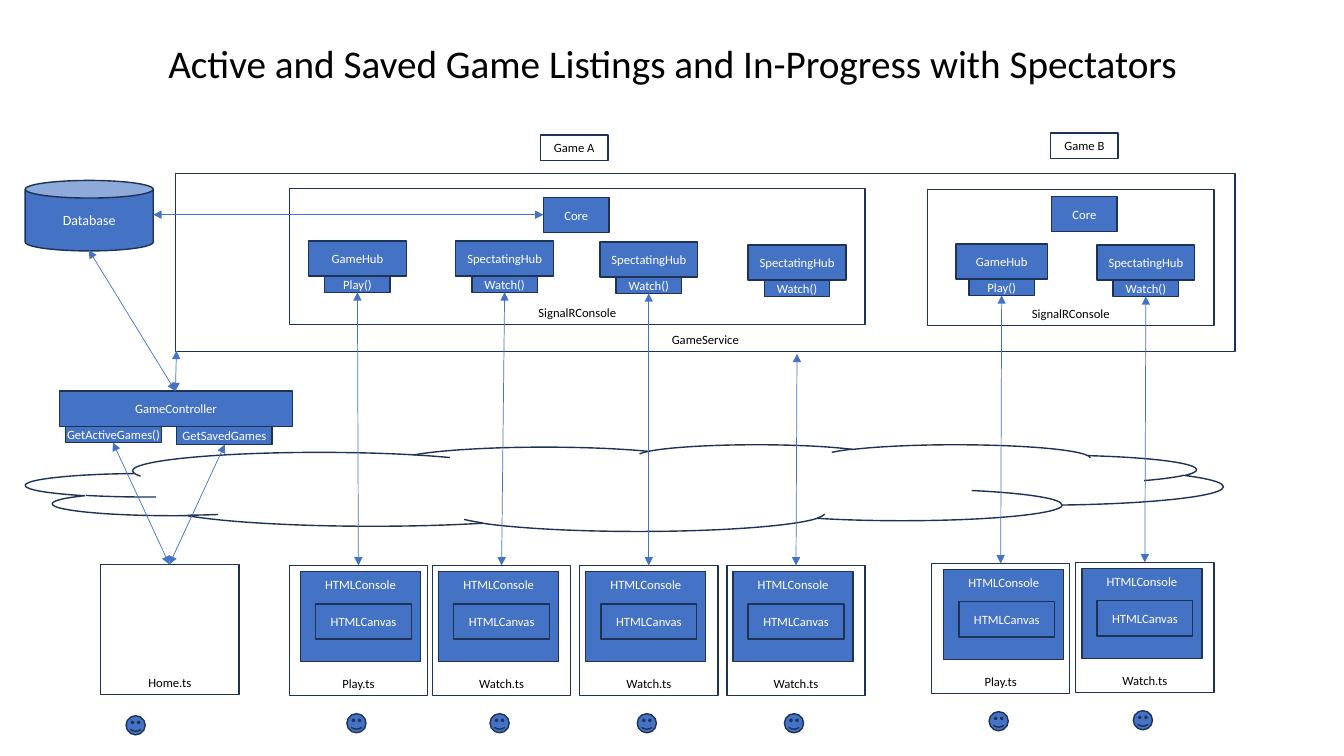
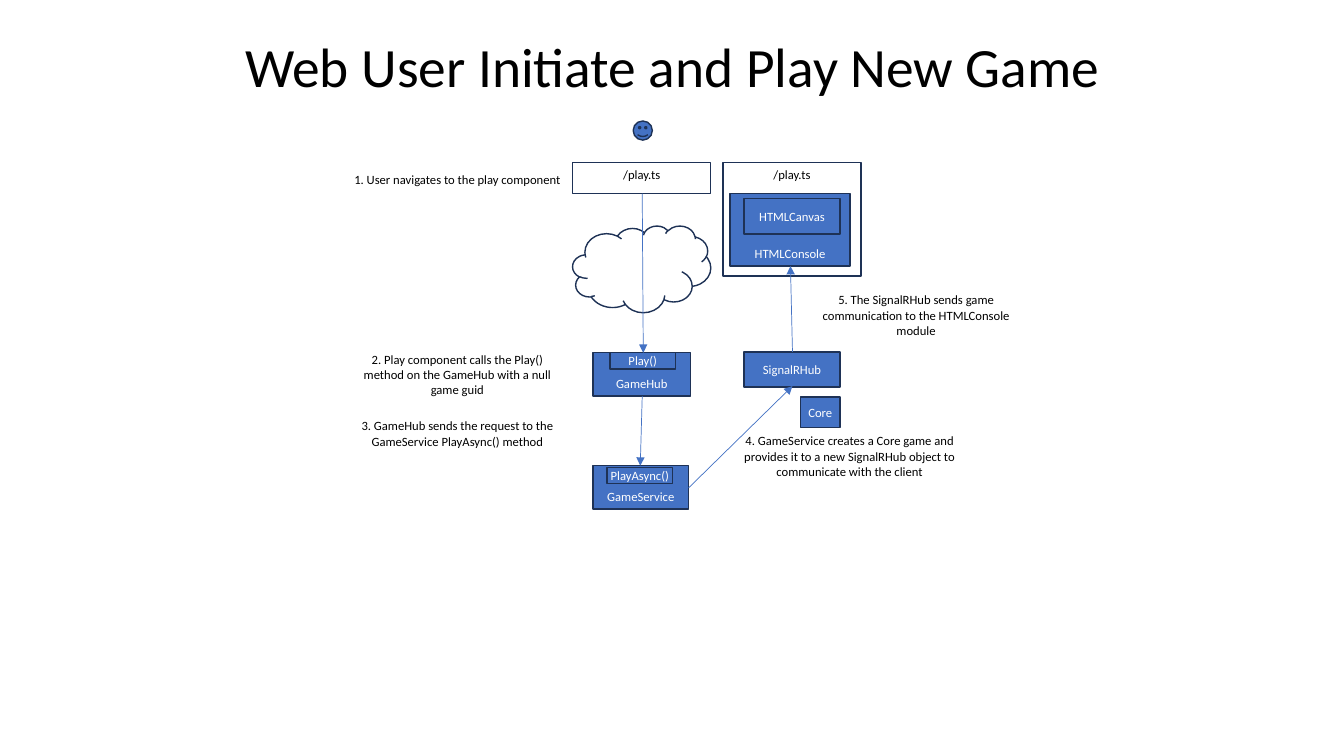
from lxml import etree
from pptx import Presentation
from pptx.dml.color import RGBColor
from pptx.enum.shapes import MSO_CONNECTOR, MSO_SHAPE
from pptx.enum.text import MSO_ANCHOR, MSO_AUTO_SIZE, PP_ALIGN
from pptx.oxml.ns import qn
from pptx.util import Inches, Pt

RECT, CLOUD, CAN = MSO_SHAPE.RECTANGLE, MSO_SHAPE.CLOUD, MSO_SHAPE.CAN
SMILEY = MSO_SHAPE.SMILEY_FACE
STRAIGHT = MSO_CONNECTOR.STRAIGHT
TOP, MIDDLE, BOTTOM = MSO_ANCHOR.TOP, MSO_ANCHOR.MIDDLE, MSO_ANCHOR.BOTTOM
CENTER, NO_FIT = PP_ALIGN.CENTER, MSO_AUTO_SIZE.NONE

FONT = "Calibri"
BLUE, NAVY, WHITE, BLACK = "4472C4", "1E3256", "FFFFFF", "000000"
MARGINS = ("margin_left", "margin_top", "margin_right", "margin_bottom")

FRAME = {"anchor": BOTTOM}
HEADED = {"anchor": TOP}
BLOCK = {"fill": BLUE, "color": WHITE}
BLOCK_TOP = {**BLOCK, "anchor": TOP}
BLOCK_BOTTOM = {**BLOCK, "anchor": BOTTOM}
TAB = {**BLOCK, "margin": 0}
NOTE = {"line": None, "anchor": TOP}

FACE = 0.19
TAB_WIDTH, TAB_HEIGHT = 0.65, 0.16
BLOCK_HEIGHT = 0.35
CANVAS_WIDTH = 0.95
CLIENT_WIDTH, CLIENT_HEIGHT = 1.37, 1.29
CONSOLE_WIDTH = 1.19

LISTINGS_TITLE = "Active and Saved Game Listings and In-Progress with Spectators"
LISTINGS_PARTS = [
    (CLOUD, "", (0.26, 4.41, 11.87, 0.86), FRAME),
    (RECT, "GameService", (1.74, 1.72, 10.51, 1.77), FRAME),
    (RECT, "SignalRConsole", (2.87, 1.87, 5.71, 1.35), FRAME),
    (RECT, "SignalRConsole", (9.2, 1.88, 2.84, 1.35), FRAME),
    (RECT, "Game A", (5.36, 1.34, 0.67, 0.25), FRAME),
    (RECT, "Game B", (10.42, 1.32, 0.67, 0.25), FRAME),
    (RECT, "Core", (5.39, 1.96, 0.65, 0.35), BLOCK),
    (RECT, "Core", (10.43, 1.95, 0.65, 0.35), BLOCK),
    (RECT, "GameController", (0.59, 3.88, 2.31, 0.35), BLOCK),
    (RECT, "GetActiveGames()", (0.65, 4.23, 0.95, 0.16), TAB),
    (RECT, "GetSavedGames", (1.75, 4.23, 0.95, 0.18), TAB),
    (RECT, "Home.ts", (1, 5.6, 1.37, 1.29), FRAME),
    (SMILEY, "", (1.25, 7.1, FACE, FACE), BLOCK),
    (CAN, "Database", (0.25, 1.79, 1.27, 0.7), {**BLOCK, "size": 10}),
]
LISTINGS_ARROWS = [
    ((1.75, 3.48), (1.74, 3.88)),
    ((5.39, 2.13), (1.52, 2.13)),
    ((2.23, 4.41), (1.68, 5.6)),
    ((1.12, 4.39), (1.68, 5.6)),
    ((0.88, 2.48), (1.74, 3.88)),
]
LANES = [
    {"hub": "GameHub", "method": "Play", "hub_at": (3.06, 2.39, 0.97),
     "client_at": (2.87, 5.61), "console_inset": 0.11},
    {"hub": "SpectatingHub", "method": "Watch", "hub_at": (4.52, 2.39, 0.97),
     "client_at": (4.29, 5.61), "console_inset": 0.06},
    {"hub": "SpectatingHub", "method": "Watch", "hub_at": (5.95, 2.4, 0.97),
     "client_at": (5.75, 5.61), "console_inset": 0.06},
    {"hub": "SpectatingHub", "method": "Watch", "hub_at": (7.42, 2.43, 0.97),
     "client_at": (7.21, 5.61), "console_inset": 0.06, "arrow_top": 3.51},
    {"hub": "GameHub", "method": "Play", "hub_at": (9.48, 2.42, 0.91),
     "client_at": (9.24, 5.59), "console_inset": 0.12},
    {"hub": "SpectatingHub", "method": "Watch", "hub_at": (10.88, 2.43, 0.97),
     "client_at": (10.67, 5.58), "console_inset": 0.06},
]

NEW_GAME_TITLE = "Web User Initiate and Play New Game"
NEW_GAME_PARTS = [
    (SMILEY, "", (6.28, 1.2, FACE, FACE), BLOCK),
    (RECT, "/play.ts", (7.17, 1.61, 1.37, 1.13), HEADED),
    (RECT, "HTMLConsole", (7.24, 1.92, CONSOLE_WIDTH, 0.72), BLOCK_BOTTOM),
    (RECT, "HTMLCanvas", (7.38, 1.97, CANVAS_WIDTH, BLOCK_HEIGHT), BLOCK),
    (CLOUD, "", (5.68, 2.24, 1.37, 0.86), FRAME),
    (RECT, "SignalRHub", (7.38, 3.49, 0.95, BLOCK_HEIGHT), BLOCK),
    (RECT, "/play.ts", (5.68, 1.61, 1.37, 0.31), HEADED),
    (RECT, "GameHub", (5.88, 3.5, 0.97, 0.43), BLOCK_BOTTOM),
    (RECT, "Play()", (6.05, 3.5, TAB_WIDTH, TAB_HEIGHT), TAB),
    (RECT, "GameService", (5.88, 4.62, 0.95, 0.43), BLOCK_BOTTOM),
    (RECT, "PlayAsync()", (6.02, 4.64, TAB_WIDTH, TAB_HEIGHT), TAB),
    (RECT, "Core", (7.94, 3.94, 0.39, 0.3), TAB),
]
NEW_GAME_ARROWS = [
    ((6.37, 1.92), (6.38, 3.5)),
    ((6.37, 3.93), (6.35, 4.62)),
    ((6.83, 4.84), (7.86, 3.83)),
    ((7.86, 3.49), (7.84, 2.64)),
]
STEP_WIDTH = 2.29
STEPS = [
    ("1. User navigates to the play component", 3.39, 1.66, 0.31),
    ("2. Play component calls the Play() method on the GameHub with a null game guid",
     3.39, 3.44, 0.54),
    ("3. GameHub sends the request to the GameService PlayAsync() method",
     3.39, 4.1, 0.48),
    ("4. GameService creates a Core game and provides it to a new SignalRHub object "
     "to communicate with the client", 7.28, 4.25, 0.48),
    ("5. The SignalRHub sends game communication to the HTMLConsole module",
     7.94, 2.85, 0.48),
]


def rgb(value):
    return RGBColor.from_string(value)


def place(shape, box):
    for side, length in zip(("left", "top", "width", "height"), box):
        setattr(shape, side, Inches(length))


def write(shape, text, size=9, color=BLACK, anchor=MIDDLE, margin=None):
    frame = shape.text_frame
    settings = {"word_wrap": True, "auto_size": NO_FIT, "vertical_anchor": anchor}
    if margin is not None:
        settings.update(dict.fromkeys(MARGINS, Inches(margin)))
    for key, value in settings.items():
        setattr(frame, key, value)
    paragraph = frame.paragraphs[0]
    paragraph.alignment = CENTER
    run = paragraph.add_run()
    run.text = text
    for key, value in {"name": FONT, "size": Pt(size)}.items():
        setattr(run.font, key, value)
    run.font.color.rgb = rgb(color)
    return paragraph


def add_part(slide, kind, text, box, style):
    shape = slide.shapes.add_shape(kind, *map(Inches, box))
    shape.shadow.inherit = False
    text_style = dict(style)
    fill = text_style.pop("fill", None)
    line = text_style.pop("line", NAVY)
    if fill:
        shape.fill.solid()
        shape.fill.fore_color.rgb = rgb(fill)
    else:
        shape.fill.background()
    shape.line.color.rgb = rgb(line)
    shape.line.width = Pt(1)
    if text:
        write(shape, text, **text_style)


def add_note(slide, text, box):
    note = slide.shapes.add_textbox(*map(Inches, box))
    write(note, text, anchor=TOP)


def add_arrow(slide, start, end, both_ways):
    arrow = slide.shapes.add_connector(STRAIGHT, *map(Inches, start + end))
    arrow.line.color.rgb = rgb(BLUE)
    arrow.line.width = Pt(0.5)
    outline = arrow.line._get_or_add_ln()
    for tip in ("a:headEnd", "a:tailEnd") if both_ways else ("a:tailEnd",):
        etree.SubElement(outline, qn(tip), type="triangle")
    etree.SubElement(arrow._element.spPr, qn("a:effectLst"))


def add_lane(slide, lane):
    hub_left, hub_top, hub_width = lane["hub_at"]
    tab_left = hub_left + (hub_width - TAB_WIDTH) / 2
    tab_top = hub_top + BLOCK_HEIGHT
    left, top = lane["client_at"]
    console_left, console_top = left + lane["console_inset"], top + 0.06
    method = lane["method"]
    parts = [
        (RECT, lane["hub"], (hub_left, hub_top, hub_width, BLOCK_HEIGHT), BLOCK),
        (RECT, f"{method}()", (tab_left, tab_top, TAB_WIDTH, TAB_HEIGHT), TAB),
        (RECT, f"{method}.ts", (left, top, CLIENT_WIDTH, CLIENT_HEIGHT), FRAME),
        (RECT, "HTMLConsole", (console_left, console_top, CONSOLE_WIDTH, 0.89), BLOCK_TOP),
        (RECT, "HTMLCanvas",
         (console_left + 0.15, console_top + 0.32, CANVAS_WIDTH, BLOCK_HEIGHT), BLOCK),
        (SMILEY, "", (left + 0.57, top + 1.47, FACE, FACE), BLOCK),
    ]
    for part in parts:
        add_part(slide, *part)
    arrow_top = lane.get("arrow_top", tab_top + TAB_HEIGHT)
    add_arrow(slide, (hub_left + hub_width / 2, arrow_top),
              (left + CLIENT_WIDTH / 2, top), True)


def add_diagram(deck, title, title_size, title_height, parts, arrows, both_ways):
    slide = deck.slides.add_slide(deck.slide_layouts[5])
    heading = slide.shapes.title
    place(heading, (0.92, 0.4, 11.5, title_height))
    write(heading, title, title_size).line_spacing = 0.9
    for part in parts:
        add_part(slide, *part)
    for start, end in arrows:
        add_arrow(slide, start, end, both_ways)
    return slide


def main():
    deck = Presentation()
    deck.slide_width, deck.slide_height = Inches(13.33), Inches(7.5)

    listings = add_diagram(deck, LISTINGS_TITLE, 28, 0.51,
                           LISTINGS_PARTS, LISTINGS_ARROWS, True)
    for lane in LANES:
        add_lane(listings, lane)

    new_game = add_diagram(deck, NEW_GAME_TITLE, 39.6, 0.58,
                           NEW_GAME_PARTS, NEW_GAME_ARROWS, False)
    for text, left, top, height in STEPS:
        add_note(new_game, text, (left, top, STEP_WIDTH, height))

    deck.save("out.pptx")


if __name__ == "__main__":
    main()
